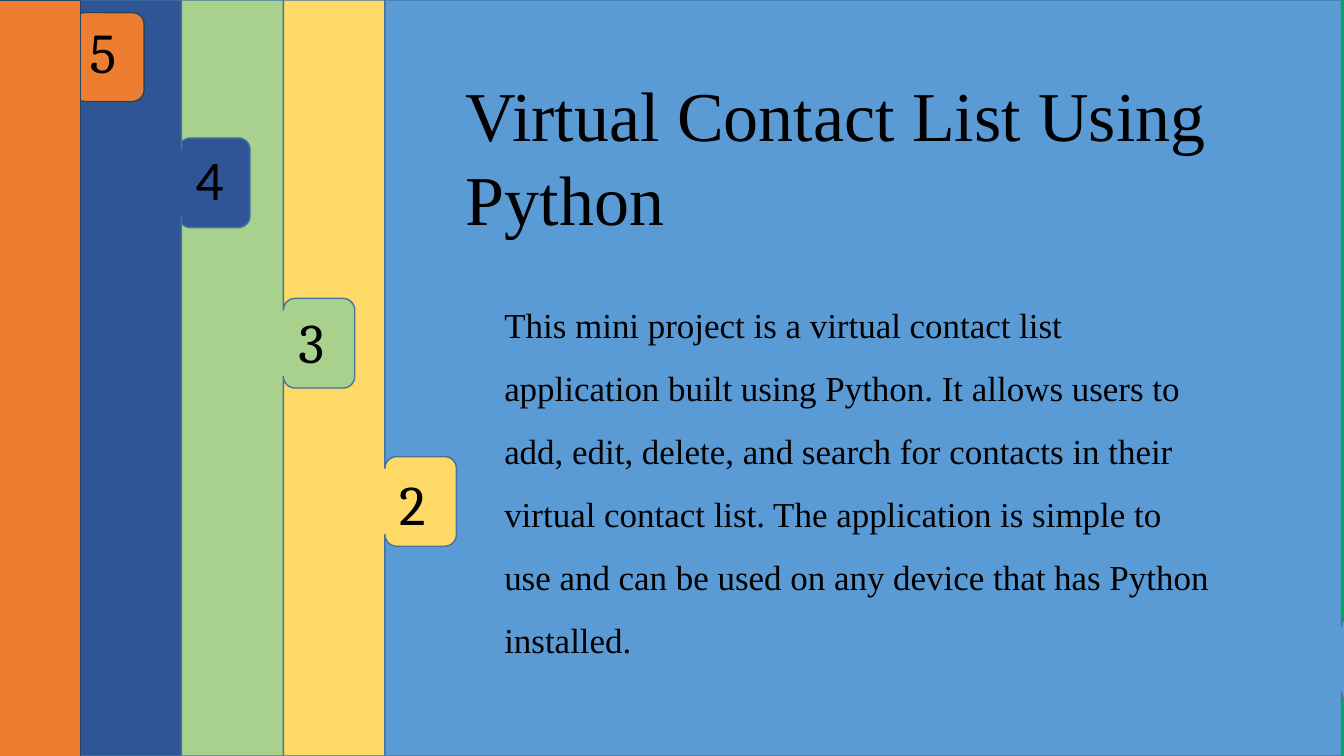
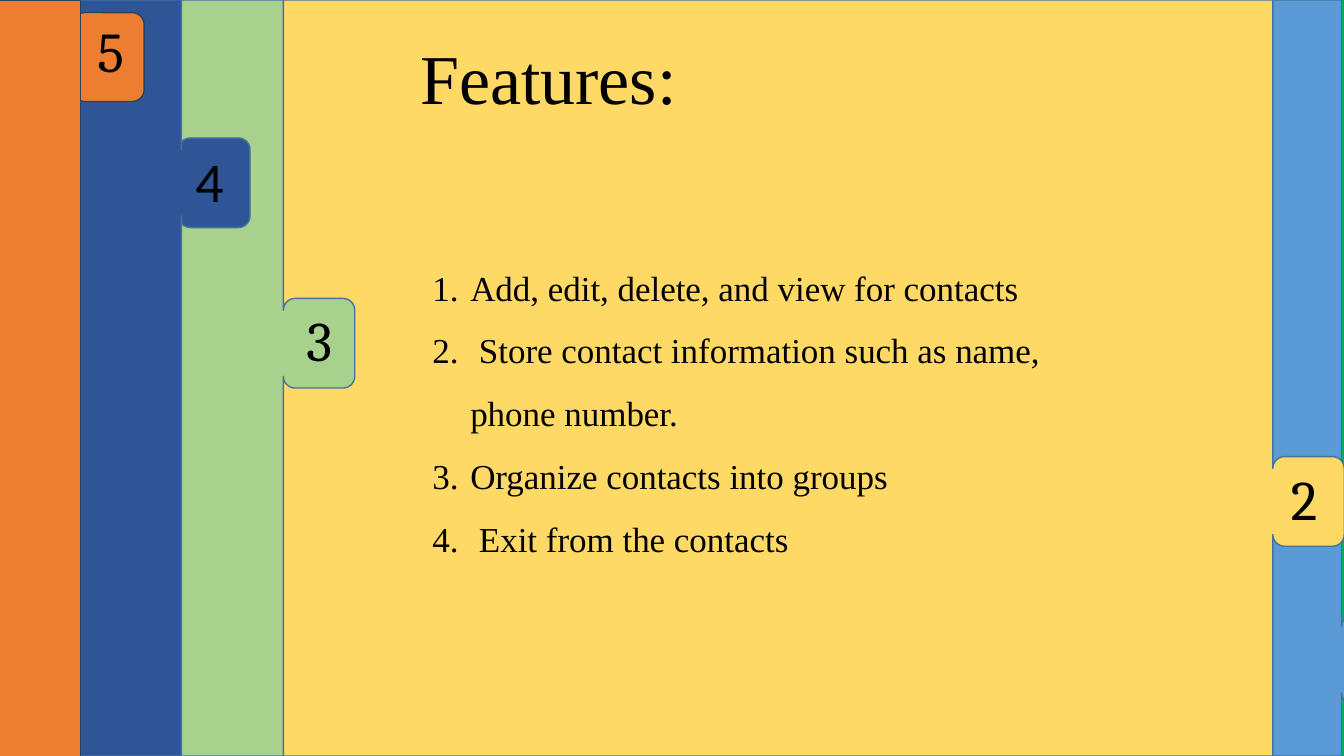
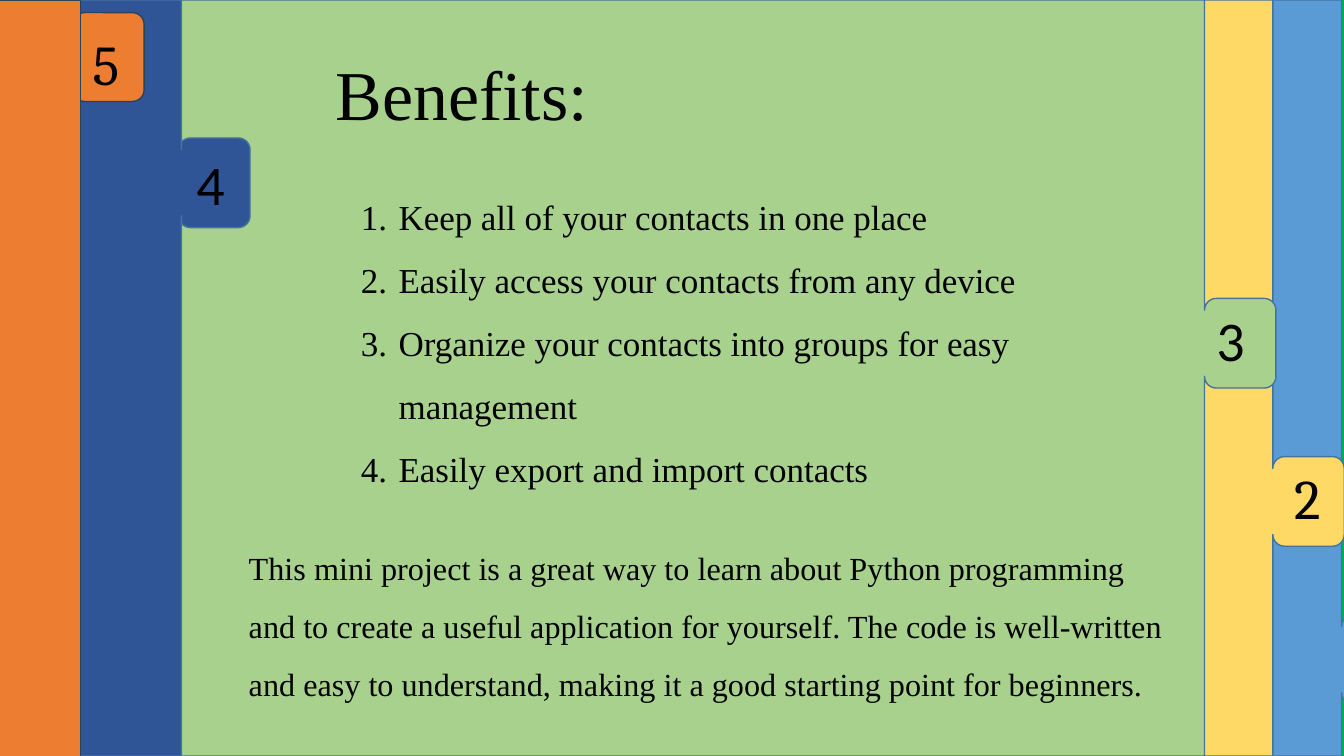
import math
from lxml import etree
from pptx import Presentation
from pptx import util as u
from pptx.dml.color import RGBColor
from pptx.enum import shapes, text
from pptx.oxml.ns import qn

Pt = u.Pt
C = {
    "green": "00B050", "sky": "5B9BD5", "yellow": "FFD966", "lime": "A9D18E",
    "navy": "2F5597", "orange": "ED7D31", "edge": "43739E",
    "dark_edge": "28445D", "ink": "000000",
}
SERIF = "Times New Roman"
W, H = 960, 540
PANEL_W = 825.4
TAB_W, TAB_H, TAB_R = 51, 64, 8.4
INDENT = 27

SLIDES = [
    {
        "edges": [958.3, 275, 202.4, 129.6],
        "digits": [("5", "Cambria", 57, 9, 46), ("4", "Calibri", 132.5, 100, 46),
                   ("3", "Cambria", 206, 216, 47.5), ("2", "Cambria", 278, 332, 48)],
        "title": ("Virtual Contact List Using Python", (325.5, 47.5, 634.5, 128)),
        "body": (["This mini project is a virtual contact list application built using Python. "
                  "It allows users to add, edit, delete, and search for contacts in their virtual "
                  "contact list. The application is simple to use and can be used on any device "
                  "that has Python installed."], (353, 198, 522.7, 280), False),
    },
    {
        "edges": [958.3, 909.2, 202.4, 129.6],
        "digits": [("5", "Cambria", 62.5, 8.5, 36.7), ("4", "Calibri", 132.5, 101, 35.3),
                   ("3", "Cambria", 211.7, 214.5, 36.7), ("2", "Cambria", 915, 328.3, 36.7)],
        "title": ("Features:", (293, 21, 507, 67.7)),
        "body": (["Add, edit, delete, and view for contacts",
                  " Store contact information such as name, phone number.",
                  "Organize contacts into groups",
                  " Exit from the contacts"], (301.7, 171.4, 504.7, 234.7), True),
    },
    {
        "edges": [958.3, 909.2, 860.4, 129.6],
        "digits": [("2", "Cambria", 917.3, 327.6, 36.7), ("3", "Calibri", 861.8, 214.6, 35.3),
                   ("4", "Calibri", 133.2, 103, 37.4), ("5", "Cambria", 59, 17.3, 36.7)],
        "title": ("Benefits:", (232.5, 32.4, 516, 67.7)),
        "body": (["Keep all of your contacts in one place",
                  "Easily access your contacts from any device",
                  "Organize your contacts into groups for easy management",
                  "Easily export and import contacts"], (250.5, 121, 499, 280), True),
        "note": ("This mini project is a great way to learn about Python programming and to "
                 "create a useful application for yourself. The code is well-written and easy to "
                 "understand, making it a good starting point for beginners.",
                 (170.6, 374.4, 669, 132.5)),
    },
]
PANELS = [("sky", 439.2, 0), ("yellow", 326.2, 0), ("lime", 213.2, 0), ("navy", 98.6, -2)]


def paint(sp, fill, line):
    sp.shadow.inherit = False
    sp.fill.solid()
    sp.fill.fore_color.rgb = RGBColor.from_string(C[fill])
    sp.line.color.rgb = RGBColor.from_string(C[line])
    sp.line.width = Pt(1)


def write(sp, box, lines, size, font=SERIF, spacing=1.0, numbered=False):
    sp.left, sp.top, sp.width, sp.height = [Pt(v) for v in box]
    tf = sp.text_frame
    tf.word_wrap = True
    tf.auto_size = text.MSO_AUTO_SIZE.SHAPE_TO_FIT_TEXT
    tf.vertical_anchor = text.MSO_ANCHOR.TOP
    for i, line in enumerate(lines):
        p = tf.paragraphs[0] if i == 0 else tf.add_paragraph()
        p.alignment = text.PP_ALIGN.LEFT
        p.line_spacing = spacing
        p.space_before = Pt(0)
        pPr = p._p.get_or_add_pPr()
        indent = Pt(INDENT) if numbered else 0
        pPr.set("marL", str(indent))
        pPr.set("indent", str(-indent))
        if numbered:
            etree.SubElement(pPr, qn("a:buFont")).set("typeface", "+mj-lt")
            etree.SubElement(pPr, qn("a:buAutoNum")).set("type", "arabicPeriod")
        else:
            etree.SubElement(pPr, qn("a:buNone"))
        r = p.add_run()
        r.text = line
        r.font.size = Pt(size)
        r.font.name = font
        r.font.color.rgb = RGBColor.from_string(C["ink"])


prs = Presentation()
prs.slide_width, prs.slide_height = Pt(W), Pt(H)
bg = prs.slide_master.background.fill
bg.solid()
bg.fore_color.rgb = RGBColor.from_string(C["green"])

for data in SLIDES:
    s = prs.slides.add_slide(prs.slide_layouts[1])
    title, body = s.shapes.title, s.placeholders[1]

    for (color, top, shift), edge in zip(PANELS, data["edges"]):
        left, right = edge + shift + TAB_R, edge + shift + TAB_W - TAB_R
        upper, lower = top + TAB_R, top + TAB_H - TAB_R
        corners = [(left, upper, 180), (right, upper, 270), (right, lower, 0), (left, lower, 90)]
        pts = [(edge, 0)]
        for cx, cy, start in corners:
            for step in range(0, 91, 10):
                a = math.radians(start + step)
                pts.append((max(edge, cx + TAB_R * math.cos(a)), cy + TAB_R * math.sin(a)))
        pts += [(edge, H), (edge - PANEL_W, H)]
        fb = s.shapes.build_freeform(Pt(edge - PANEL_W), 0)
        fb.add_line_segments([(Pt(x), Pt(y)) for x, y in pts])
        paint(fb.convert_to_shape(), color, "edge")

    for kind, box in [(shapes.MSO_SHAPE.ROUNDED_RECTANGLE, (52, 9, 51, 63.5)),
                      (shapes.MSO_SHAPE.RECTANGLE, (-695.6, 0.5, 753, H))]:
        paint(s.shapes.add_shape(kind, *[Pt(v) for v in box]), "orange", "dark_edge")

    for digit, font, x, y, w in data["digits"]:
        write(s.shapes.add_textbox(0, 0, 0, 0), (x, y, w, 55.4), [digit], 40, font)

    for sp in (title, body):
        s.shapes._spTree.append(sp._element)
    heading, box = data["title"]
    write(title, box, [heading], 50)
    lines, box, numbered = data["body"]
    write(body, box, lines, 25, spacing=1.5, numbered=numbered)
    if "note" in data:
        note, box = data["note"]
        write(s.shapes.add_textbox(0, 0, 0, 0), box, [note], 23, spacing=1.5)

prs.save("out.pptx")
